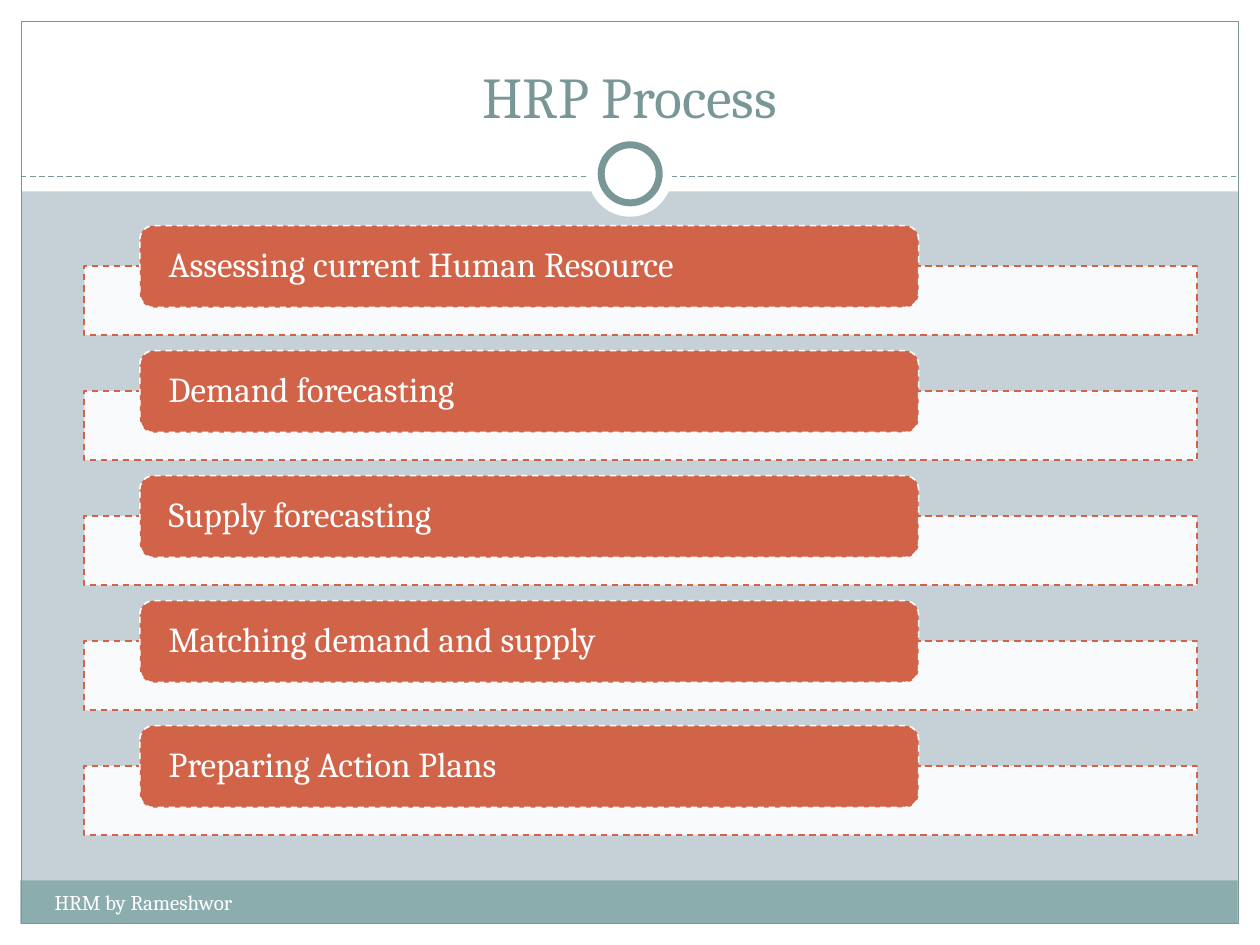
from dataclasses import dataclass
from typing import Optional

from lxml import etree
from pptx import Presentation
from pptx import util as u
from pptx.dml.color import RGBColor
from pptx.enum import dml, shapes, text
from pptx.oxml import ns

WHITE = RGBColor(0xFF, 0xFF, 0xFF)
MIST = RGBColor(0xC5, 0xD1, 0xD7)
TEAL = RGBColor(0x8C, 0xAD, 0xAE)
SLATE = RGBColor(0x7A, 0x97, 0x98)
RUST = RGBColor(0xD1, 0x63, 0x49)
FONT = "Cambria"
WIDE, HIGH = 25.4, 19.05
EDGE = 0.43
PITCH = 2.52
STEPS = (
    "Assessing current Human Resource",
    "Demand forecasting",
    "Supply forecasting",
    "Matching demand and supply",
    "Preparing Action Plans",
)
KIND = shapes.MSO_SHAPE


@dataclass
class Box:
    left: float
    top: float
    width: float
    height: float
    fill: Optional[RGBColor] = None
    line: Optional[RGBColor] = None
    weight: float = 0.75
    dash: bool = False
    kind: int = KIND.RECTANGLE
    alpha: Optional[int] = None


FRAME = (
    Box(0, HIGH - EDGE, WIDE, EDGE, WHITE),
    Box(0, 0, WIDE, 3.86, WHITE),
    Box(0, 0, EDGE, HIGH, WHITE),
    Box(WIDE - EDGE, 0, EDGE, HIGH, WHITE),
    Box(0.41, 17.75, 24.54, 0.87, TEAL),
    Box(EDGE, EDGE, WIDE - 2 * EDGE, HIGH - 2 * EDGE, line=SLATE),
)
RINGS = (
    Box(11.85, 2.67, 1.7, 1.7, WHITE, kind=KIND.OVAL),
    Box(12.12, 2.92, 1.17, 1.17, WHITE, SLATE, 4, kind=KIND.OVAL),
)


def apply(item, form: dict) -> None:
    for key, value in form.items():
        setattr(item, key, value)


def place(item, left: float, top: float, width: float, height: float) -> None:
    apply(item, {"left": u.Cm(left), "top": u.Cm(top),
                 "width": u.Cm(width), "height": u.Cm(height)})


def stroke(line, color: RGBColor, weight: float, dash: bool) -> None:
    line.color.rgb = color
    line.width = u.Pt(weight)
    if dash:
        line.dash_style = dml.MSO_LINE.DASH


def draw(slide, box: Box):
    item = slide.shapes.add_shape(box.kind, 0, 0, 0, 0)
    place(item, box.left, box.top, box.width, box.height)
    item.shadow.inherit = False
    if box.fill is None:
        item.fill.background()
    else:
        item.fill.solid()
        item.fill.fore_color.rgb = box.fill
    if box.alpha is not None:
        tone = item.element.spPr.find(".//" + ns.qn("a:srgbClr"))
        etree.SubElement(tone, ns.qn("a:alpha"), val=str(box.alpha * 1000))
    if box.line is None:
        item.line.fill.background()
    else:
        stroke(item.line, box.line, box.weight, box.dash)
    return item


def write(item, words: str, size: float, color: RGBColor,
          frame: dict, para: dict) -> None:
    body = item.text_frame
    body.text = words
    apply(body, {"word_wrap": True, "auto_size": text.MSO_AUTO_SIZE.NONE, **frame})
    line = body.paragraphs[0]
    apply(line, para)
    apply(line.font, {"name": FONT, "size": u.Pt(size)})
    line.font.color.rgb = color


def rule(slide, top: float) -> None:
    line = slide.shapes.add_connector(
        shapes.MSO_CONNECTOR.STRAIGHT,
        u.Cm(EDGE), u.Cm(top), u.Cm(WIDE - EDGE), u.Cm(top))
    stroke(line.line, SLATE, 0.75, True)
    etree.SubElement(line.element.spPr, ns.qn("a:effectLst"))


def head(slide) -> None:
    title = slide.shapes.title
    slide.shapes.element.append(title.element)
    place(title, 0.85, 0.64, 23.7, 2.11)
    write(title, "HRP Process", 33, SLATE,
          {"vertical_anchor": text.MSO_ANCHOR.BOTTOM},
          {"alignment": text.PP_ALIGN.CENTER})


def foot(slide) -> None:
    note = slide.shapes.add_textbox(0, 0, 0, 0)
    place(note, 0.85, 17.81, 9.96, 1.02)
    write(note, "HRM by Rameshwor", 12, WHITE, {}, {})


def step(slide, index: int, words: str) -> None:
    drop = index * PITCH
    draw(slide, Box(1.7, 5.36 + drop, 22.43, 1.4, WHITE, RUST, 0.9, True, alpha=90))
    pill = draw(slide, Box(2.82, 4.55 + drop, 15.7, 1.65, RUST, WHITE, 0.9, True,
                           KIND.ROUNDED_RECTANGLE))
    write(pill, words, 20, WHITE,
          {"vertical_anchor": text.MSO_ANCHOR.MIDDLE,
           "margin_left": u.Cm(0.5), "margin_right": u.Cm(0.5),
           "margin_top": 0, "margin_bottom": 0},
          {"alignment": text.PP_ALIGN.LEFT, "line_spacing": 0.9})


def main() -> None:
    deck = Presentation()
    apply(deck, {"slide_width": u.Cm(WIDE), "slide_height": u.Cm(HIGH)})
    slide = deck.slides.add_slide(deck.slide_layouts[5])
    slide.background.fill.solid()
    slide.background.fill.fore_color.rgb = MIST
    for box in FRAME:
        draw(slide, box)
    rule(slide, 3.56)
    for ring in RINGS:
        draw(slide, ring)
    head(slide)
    foot(slide)
    for index, words in enumerate(STEPS):
        step(slide, index, words)
    deck.save("out.pptx")


if __name__ == "__main__":
    main()
